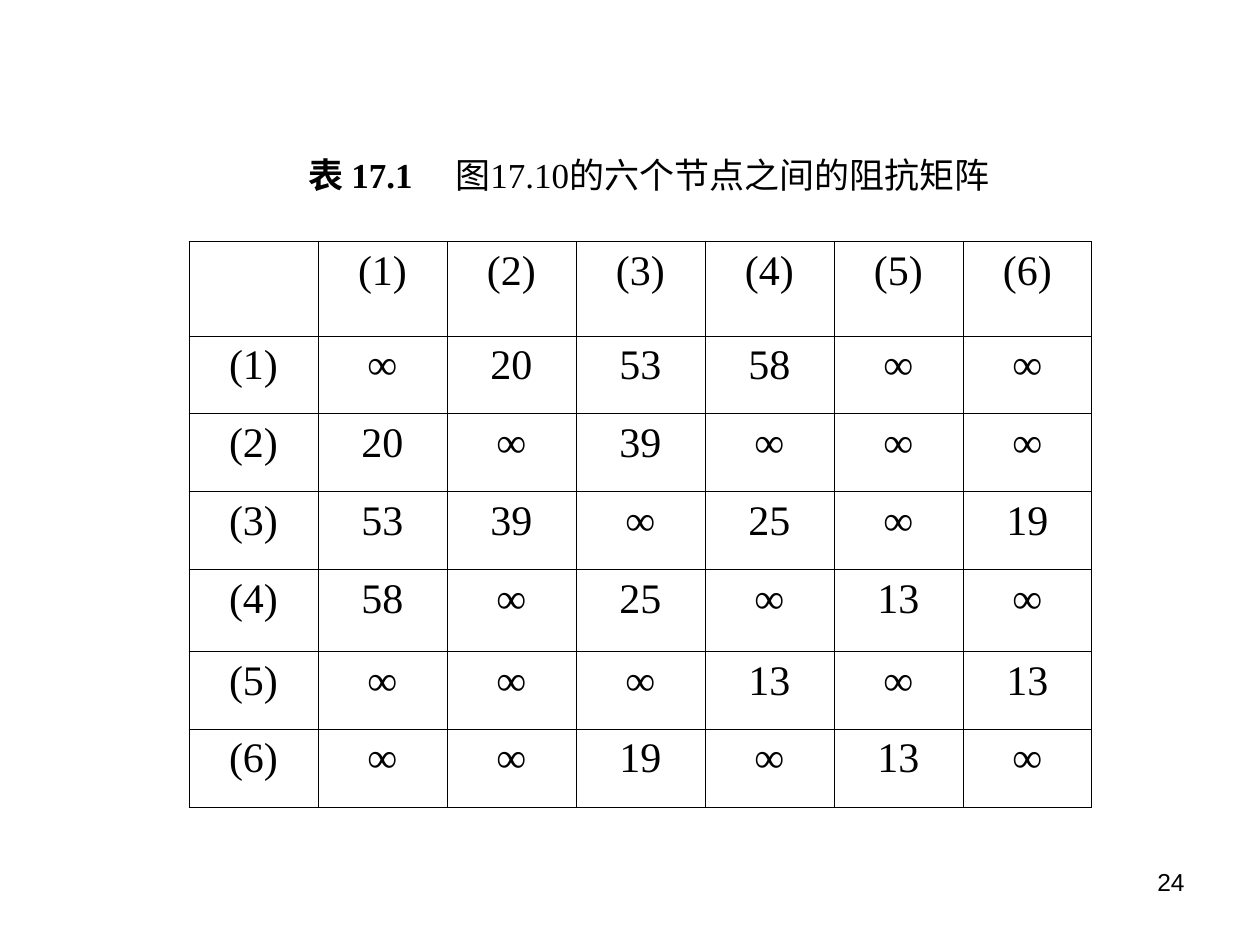
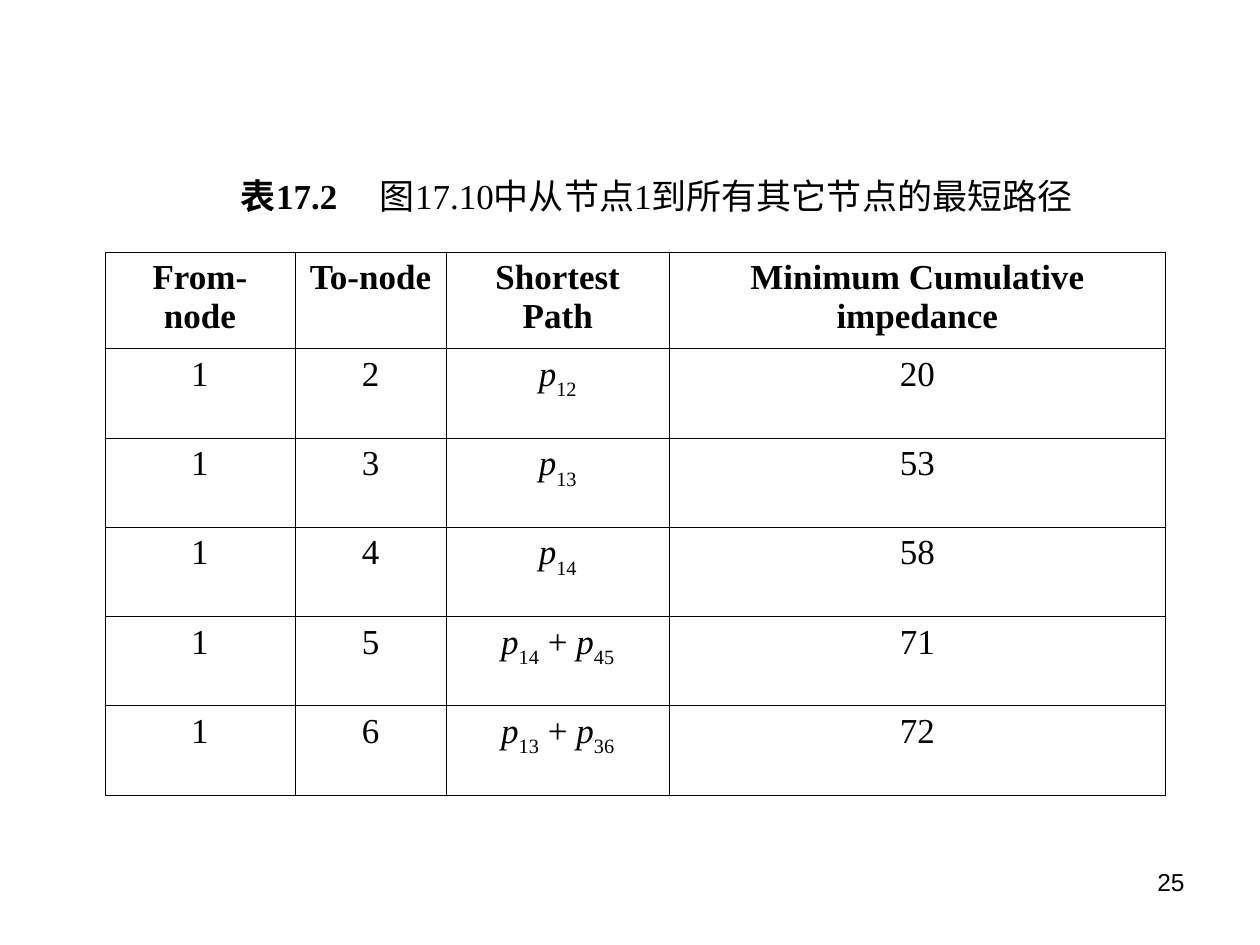
from dataclasses import dataclass

from pptx import Presentation
from pptx.dml.color import RGBColor
from pptx.enum.text import MSO_ANCHOR, MSO_AUTO_SIZE, PP_ALIGN
from pptx.oxml.ns import qn
from pptx.util import Pt
from lxml.etree import SubElement

COLORS = {"ink": "000000", "page": "FFFFFF"}
SERIF, SANS = "Times New Roman", "Arial"
SIDES = ("lnL", "lnR", "lnT", "lnB")
RULE = 0.45
PAD = 7.2


@dataclass
class Run:
    text: str
    bold: bool = False
    italic: bool = False
    sub: bool = False


@dataclass
class Box:
    left: float
    top: float
    width: float
    height: float


@dataclass
class Title:
    box: Box
    inset: float
    tab: float
    label: str
    text: str


@dataclass
class Grid:
    left: float
    top: float
    cols: list[float]
    rows: list[float]
    size: float
    cells: list[list[list[Run]]]


@dataclass
class Page:
    number: int
    title: Title
    grid: Grid


NUMBER = Box(516, 492, 168, 37.5)
NODES = range(1, 7)
LINKS = {(1, 2): 20, (1, 3): 53, (1, 4): 58, (2, 3): 39,
         (3, 4): 25, (3, 6): 19, (4, 5): 13, (5, 6): 13}
HEADS = ["From-node", "To-node", "Shortest Path", "Minimum Cumulative impedance"]
ROUTES = {2: ["12"], 3: ["13"], 4: ["14"], 5: ["14", "45"], 6: ["13", "36"]}


def plain(value: object, bold: bool = False) -> list[Run]:
    return [Run(str(value), bold)]


def matrix() -> list[list[list[Run]]]:
    """Link costs between all nodes, the same in both directions."""
    names = [plain(f"({node})") for node in NODES]
    rows = [[[], *names]]
    for start, name in zip(NODES, names):
        costs = [LINKS.get((min(start, end), max(start, end)), "∞") for end in NODES]
        rows.append([name, *map(plain, costs)])
    return rows


def route(steps: list[str]) -> list[Run]:
    """A sum of p terms with node pairs as subscripts."""
    runs = []
    for step in steps:
        if runs:
            runs.append(Run(" + "))
        runs += [Run("p", italic=True), Run(step, sub=True)]
    return runs


def paths() -> list[list[list[Run]]]:
    rows = [[plain(head, bold=True) for head in HEADS]]
    for end, steps in ROUTES.items():
        cost = sum(LINKS[int(step[0]), int(step[1])] for step in steps)
        rows.append([plain(1), plain(end), route(steps), plain(cost)])
    return rows


def place(shape, box: Box) -> None:
    shape.left, shape.top = Pt(box.left), Pt(box.top)
    shape.width, shape.height = Pt(box.width), Pt(box.height)


def write(par, runs: list[Run], size: float, face: str, align: PP_ALIGN) -> None:
    par.alignment = align
    font = par.font
    font.size, font.name = Pt(size), face
    font.color.rgb = RGBColor.from_string(COLORS["ink"])
    for item in runs:
        run = par.add_run()
        run.text = item.text
        run.font.bold = item.bold
        if item.italic:
            run.font.italic = True
        if item.sub:
            run.font._element.set("baseline", "-30000")


def set_title(slide, title: Title) -> None:
    shape = slide.shapes.title
    place(shape, title.box)
    frame = shape.text_frame
    frame.word_wrap = True
    frame.auto_size = MSO_AUTO_SIZE.NONE
    frame.vertical_anchor = MSO_ANCHOR.TOP
    frame.margin_left = Pt(PAD + title.inset)
    par = frame.paragraphs[0]
    tabs = SubElement(par._p.get_or_add_pPr(), qn("a:tabLst"))
    SubElement(tabs, qn("a:tab"), pos=str(Pt(title.tab)), algn="l")
    runs = [Run(title.label + "\t", bold=True), Run(title.text)]
    write(par, runs, 20, SERIF, PP_ALIGN.LEFT)


def add_number(slide, number: int) -> None:
    shape = slide.shapes.add_textbox(0, 0, 0, 0)
    place(shape, NUMBER)
    shape.text_frame.word_wrap = True
    write(shape.text_frame.paragraphs[0], plain(number), 14, SANS, PP_ALIGN.RIGHT)


def frame_cell(cell) -> None:
    """Rule all four sides and leave the cell unfilled."""
    props = cell._tc.get_or_add_tcPr()
    for side in SIDES:
        line = SubElement(props, qn(f"a:{side}"), w=str(Pt(RULE)))
        fill = SubElement(line, qn("a:solidFill"))
        SubElement(fill, qn("a:srgbClr"), val=COLORS["ink"])
    cell.fill.background()


def add_grid(slide, grid: Grid) -> None:
    shape = slide.shapes.add_table(
        len(grid.rows), len(grid.cols), Pt(grid.left), Pt(grid.top),
        Pt(sum(grid.cols)), Pt(sum(grid.rows)))
    table = shape.table
    table.first_row = table.horz_banding = False
    for col, width in zip(table.columns, grid.cols):
        col.width = Pt(width)
    for row, height, items in zip(table.rows, grid.rows, grid.cells):
        row.height = Pt(height)
        for cell, runs in zip(row.cells, items):
            frame_cell(cell)
            write(cell.text_frame.paragraphs[0], runs, grid.size, SERIF, PP_ALIGN.CENTER)


PAGES = [
    Page(24,
         Title(Box(132, 84, 588, 31.5), 37, 84,
               "表 17.1", "图17.10的六个节点之间的阻抗矩阵"),
         Grid(108, 138, [73.71] * 7, [54, 44.5, 44.5, 44.5, 46.8, 44.5, 44.5],
              24, matrix())),
    Page(25,
         Title(Box(114, 96, 636, 31.5), 16.5, 79.4,
               "表17.2", "图17.10中从节点1到所有其它节点的最短路径"),
         Grid(60, 144, [108.5, 86.5, 127.5, 283.5], [55] + [51.05] * 5,
              20, paths())),
]


def main() -> None:
    deck = Presentation()
    deck.slide_width, deck.slide_height = Pt(720), Pt(540)
    fill = deck.slide_master.background.fill
    fill.solid()
    fill.fore_color.rgb = RGBColor.from_string(COLORS["page"])
    for page in PAGES:
        slide = deck.slides.add_slide(deck.slide_layouts[5])
        add_number(slide, page.number)
        set_title(slide, page.title)
        add_grid(slide, page.grid)
    deck.save("out.pptx")


if __name__ == "__main__":
    main()
